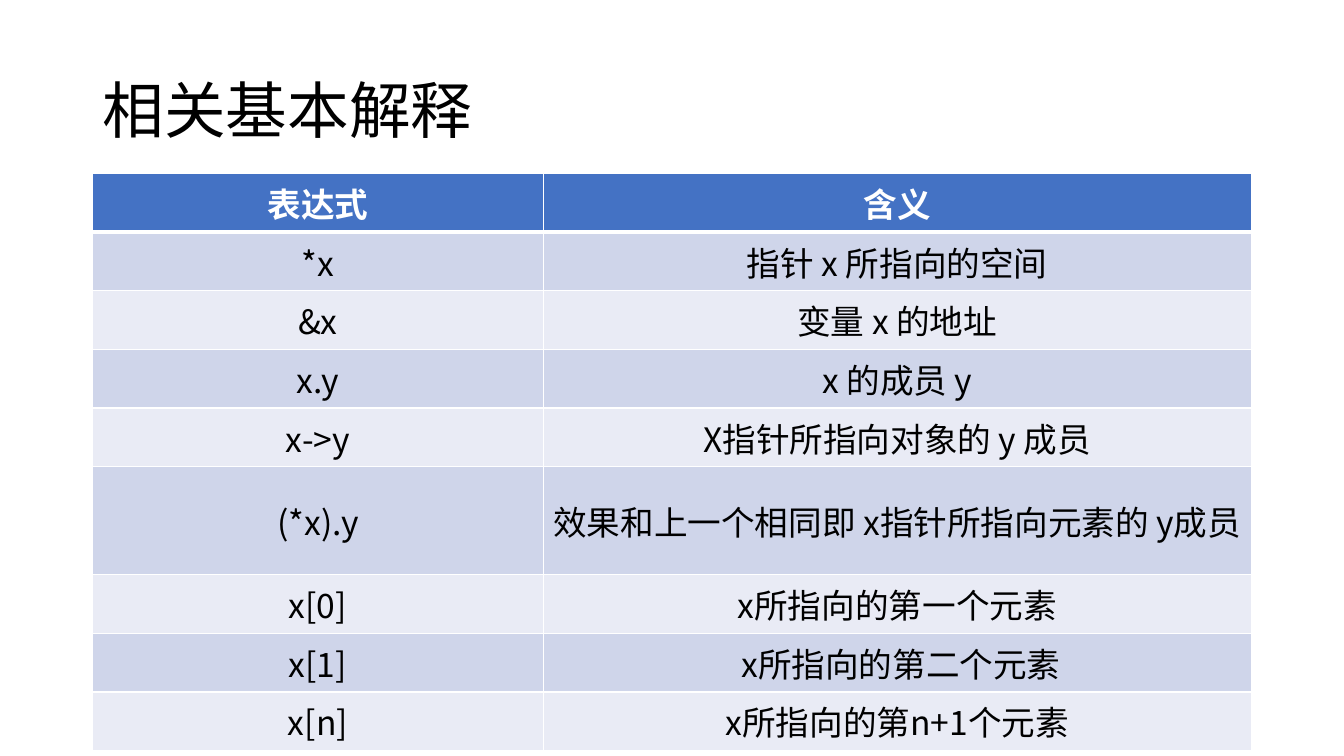
"""Build a slide with a table that explains pointer expressions."""
from typing import NamedTuple

from lxml.etree import SubElement as Sub
from pptx import Presentation as Deck
from pptx.dml.color import RGBColor as Color
from pptx.enum.text import MSO_ANCHOR as Anchor, PP_ALIGN as Align
from pptx.oxml.ns import qn
from pptx.util import Inches, Pt

BLACK = Color(0x00, 0x00, 0x00)
WHITE = Color(0xFF, 0xFF, 0xFF)
BLUE = Color(0x44, 0x72, 0xC4)
DARK = Color(0xCF, 0xD5, 0xEA)
LIGHT = Color(0xE9, 0xEB, 0xF5)

FACE = "Noto Sans CJK SC"
WIDE, HIGH = Inches(13.33), Inches(7.5)
COLS, ROWS = 29, 75
LEFT, SPAN = 2, 25
SPLIT = (9.72, 15.28)
ONE_LINE, TWO_LINE = 5.82, 10.72
THIN, THICK = 1, 3


class Entry(NamedTuple):
    term: str
    sense: str
    rows: float = ONE_LINE


HEAD = Entry("表达式", "含义")
BODY = [
    Entry("*x", "指针 x 所指向的空间"),
    Entry("&x", "变量 x 的地址"),
    Entry("x.y", "x 的成员 y"),
    Entry("x->y", "X指针所指向对象的 y 成员"),
    Entry("(*x).y", "效果和上一个相同即 x指针所指向元素的 y成员", TWO_LINE),
    Entry("x[0]", "x所指向的第一个元素"),
    Entry("x[1]", " x所指向的第二个元素"),
    Entry("x[n]", "x所指向的第n+1个元素"),
]


def across(cols: float) -> int:
    return round(WIDE * cols / COLS)


def down(rows: float) -> int:
    return round(HIGH * rows / ROWS)


def write(frame, text: str, size: int, color: Color, bold: bool = False):
    para = frame.paragraphs[0]
    para.text = text
    font = para.font
    font.size, font.bold, font.name = Pt(size), bold, FACE
    font.color.rgb = color
    props = para._p.pPr.find(qn("a:defRPr"))
    Sub(props, qn("a:ea"), typeface=FACE)
    return para


def edge(cell, top: int, base: int) -> None:
    props = cell._tc.get_or_add_tcPr()
    for side, width in zip("LRTB", (THIN, THIN, top, base)):
        line = Sub(props, qn(f"a:ln{side}"), w=str(Pt(width)))
        fill = Sub(line, qn("a:solidFill"))
        Sub(fill, qn("a:srgbClr"), val=str(WHITE))


def title(slide, text: str) -> None:
    box = slide.shapes.add_textbox(across(LEFT), down(4), across(SPAN), down(14.5))
    frame = box.text_frame
    frame.word_wrap = True
    frame.vertical_anchor = Anchor.MIDDLE
    write(frame, text, 44, BLACK).line_spacing = 0.9


def table(slide, items: list[Entry]) -> None:
    high = sum(item.rows for item in items)
    grid = slide.shapes.add_table(
        len(items), len(SPLIT), across(LEFT), down(17.2), across(SPAN), down(high)).table
    for col, width in zip(grid.columns, SPLIT):
        col.width = across(width)
    for index, (row, item) in enumerate(zip(grid.rows, items)):
        row.height = down(item.rows)
        head = index == 0
        fill = BLUE if head else (LIGHT, DARK)[index % 2]
        for cell, text in zip(row.cells, (item.term, item.sense)):
            edge(cell, THICK if index == 1 else THIN, THICK if head else THIN)
            cell.fill.solid()
            cell.fill.fore_color.rgb = fill
            cell.vertical_anchor = Anchor.MIDDLE
            para = write(cell.text_frame, text, 24, WHITE if head else BLACK, head)
            para.alignment = Align.CENTER


def main() -> None:
    deck = Deck()
    deck.slide_width, deck.slide_height = WIDE, HIGH
    slide = deck.slides.add_slide(deck.slide_layouts[6])
    title(slide, "相关基本解释")
    table(slide, [HEAD, *BODY])
    deck.save("out.pptx")


if __name__ == "__main__":
    main()
